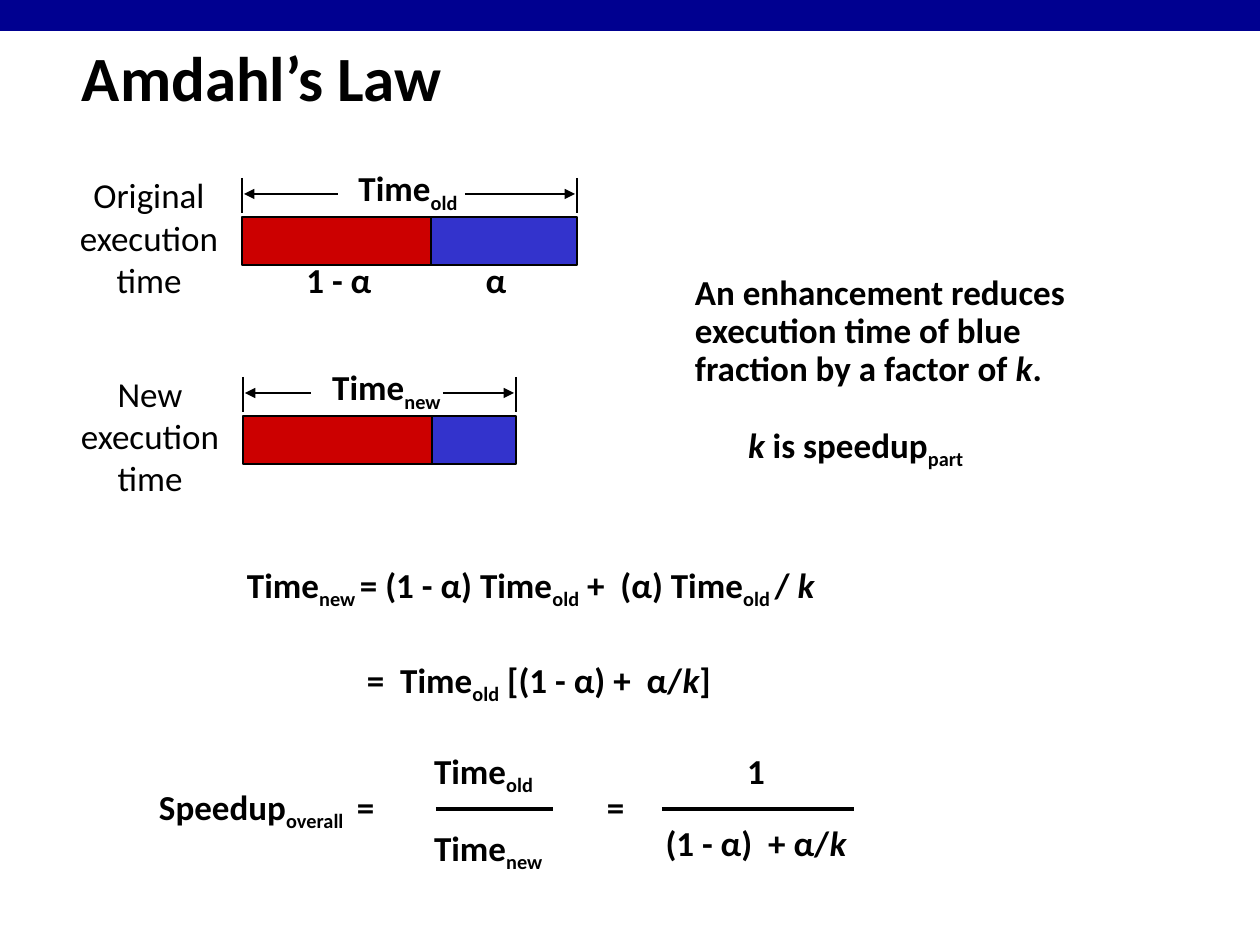
import pptx
import pptx.util
from lxml import etree
from pptx.dml.color import RGBColor
from pptx.enum.shapes import MSO_CONNECTOR, MSO_SHAPE
from pptx.enum.text import MSO_ANCHOR, PP_ALIGN
from pptx.oxml.ns import qn

PX = 914400 / 126
FONT = "Calibri"
BLACK = RGBColor(0x00, 0x00, 0x00)
NAVY = RGBColor(0x00, 0x00, 0x90)
RED = RGBColor(0xCC, 0x00, 0x00)
BLUE = RGBColor(0x33, 0x33, 0xCC)


def emu(*lengths):
    return [pptx.util.Emu(round(length * PX)) for length in lengths]


def add_text(page, text, left, top, width, height=54, *, size=20, bold=True,
             align=PP_ALIGN.LEFT, anchor=MSO_ANCHOR.TOP, inset=13, spacing=None):
    """Split text at "|"; a piece starting with "_" is subscript, with "*" italic."""
    box = page.shapes.add_textbox(*emu(left, top, width, height))
    frame = box.text_frame
    frame.word_wrap = True
    frame.vertical_anchor = anchor
    frame.margin_left, frame.margin_right = emu(inset, inset)
    frame.margin_top, frame.margin_bottom = emu(6, 6)
    para = frame.paragraphs[0]
    para.alignment = align
    para.line_spacing = spacing
    for piece in text.split("|"):
        span = para.add_run()
        span.text = piece.lstrip("_*")
        span.font.name = FONT
        span.font.size = pptx.util.Pt(size)
        span.font.bold = bold
        span.font.color.rgb = BLACK
        if piece.startswith("*"):
            span.font.italic = True
        if piece.startswith("_"):
            span.font._element.set("baseline", "-25000")


def add_bar(page, left, top, width, height, color, outlined=True):
    bar = page.shapes.add_shape(MSO_SHAPE.RECTANGLE, *emu(left, top, width, height))
    bar.shadow.inherit = False
    bar.fill.solid()
    bar.fill.fore_color.rgb = color
    if outlined:
        bar.line.color.rgb = BLACK
        bar.line.width = pptx.util.Pt(1)
    else:
        bar.line.fill.background()


def add_line(page, x1, y1, x2, y2, weight=1.5, arrow=False):
    line = page.shapes.add_connector(MSO_CONNECTOR.STRAIGHT, *emu(x1, y1, x2, y2))
    line.line.color.rgb = BLACK
    line.line.width = pptx.util.Pt(weight)
    if arrow:
        etree.SubElement(line.line._get_or_add_ln(), qn("a:tailEnd"), type="triangle")
    etree.SubElement(line._element.spPr, qn("a:effectLst"))


def add_header(page, width):
    add_bar(page, 0, 0, width, 31, NAVY, outlined=False)
    add_text(page, "Amdahl’s Law", 69, 23, 1114, 107, size=36, anchor=MSO_ANCHOR.MIDDLE)


def add_timeline(page, left, top, caption, label, *, blue_width, label_box, gap, shares=()):
    """Draw a split bar; label_box and gap hold x offsets from its left edge."""
    red_width, height = 189, 48
    right = left + red_width + blue_width
    add_text(page, caption, left - 177, top - 49, 168, 140, bold=False, align=PP_ALIGN.CENTER)
    add_bar(page, left, top, red_width, height, RED)
    add_bar(page, left + red_width, top, blue_width, height, BLUE)
    for x in (left, right):
        add_line(page, x, top - 39, x, top - 4)
    for start, end in ((left + gap[0], left + 2), (left + gap[1], right - 2)):
        add_line(page, start, top - 23, end, top - 23, arrow=True)
    offset, width = label_box
    add_text(page, label, left + offset, top - 56, width, 55, inset=6, spacing=0.9,
             align=PP_ALIGN.CENTER, anchor=MSO_ANCHOR.MIDDLE)
    for text, center in shares:
        add_text(page, text, left + center - 50, top + 35, 100, 55, inset=0,
                 align=PP_ALIGN.CENTER)


def add_remark(page, left, top):
    add_text(page, "An enhancement reduces execution time of blue fraction by a factor of |*k|.",
             left, top, 403, 140, inset=6, spacing=0.9, anchor=MSO_ANCHOR.MIDDLE)
    add_text(page, "*k| is speedup|_part", left + 46, top + 155, 260)


def add_fraction(page, left, middle, width, numerator, denominator, align, drop):
    """Stack two terms around a bar; drop is the distance between their tops."""
    add_line(page, left, middle, left + width, middle, weight=2)
    for text, top in ((numerator, middle - 66), (denominator, middle - 66 + drop)):
        add_text(page, text, left - 2, top, width, inset=0, align=align)


def add_equations(page, left, top):
    add_text(page, "Time|_new |= (1 - α) Time|_old| +  (α) Time|_old |/ |*k", left, top, 640)
    add_text(page, "=  Time|_old| [(1 - α) +  α/|*k|]", left + 120, top + 95, 400)
    speedup_top = top + 222
    add_text(page, "Speedup|_overall", left - 88, speedup_top, 220)
    for offset in (110, 360):
        add_text(page, "=", left + offset, speedup_top, 48)
    bar_y = top + 252
    add_fraction(page, left + 202, bar_y, 117, "Time|_old", "Time|_new", PP_ALIGN.LEFT, 77)
    add_fraction(page, left + 428, bar_y, 192, "1", "(1 - α)  + α/|*k", PP_ALIGN.CENTER, 72)


def main():
    deck = pptx.Presentation()
    deck.slide_width, deck.slide_height = emu(1260, 945)
    page = deck.slides.add_slide(deck.slide_layouts[6])
    add_header(page, 1260)
    add_timeline(page, 242, 217, "Original execution time", "Time|_old", blue_width=146,
                 label_box=(108, 116), gap=(96, 223), shares=(("1 - α", 97), ("α", 254)))
    add_timeline(page, 243, 416, "New execution time", "Time|_new", blue_width=84,
                 label_box=(80, 127), gap=(68, 200))
    add_remark(page, 689, 262)
    add_equations(page, 234, 557)
    deck.save("out.pptx")


if __name__ == "__main__":
    main()
